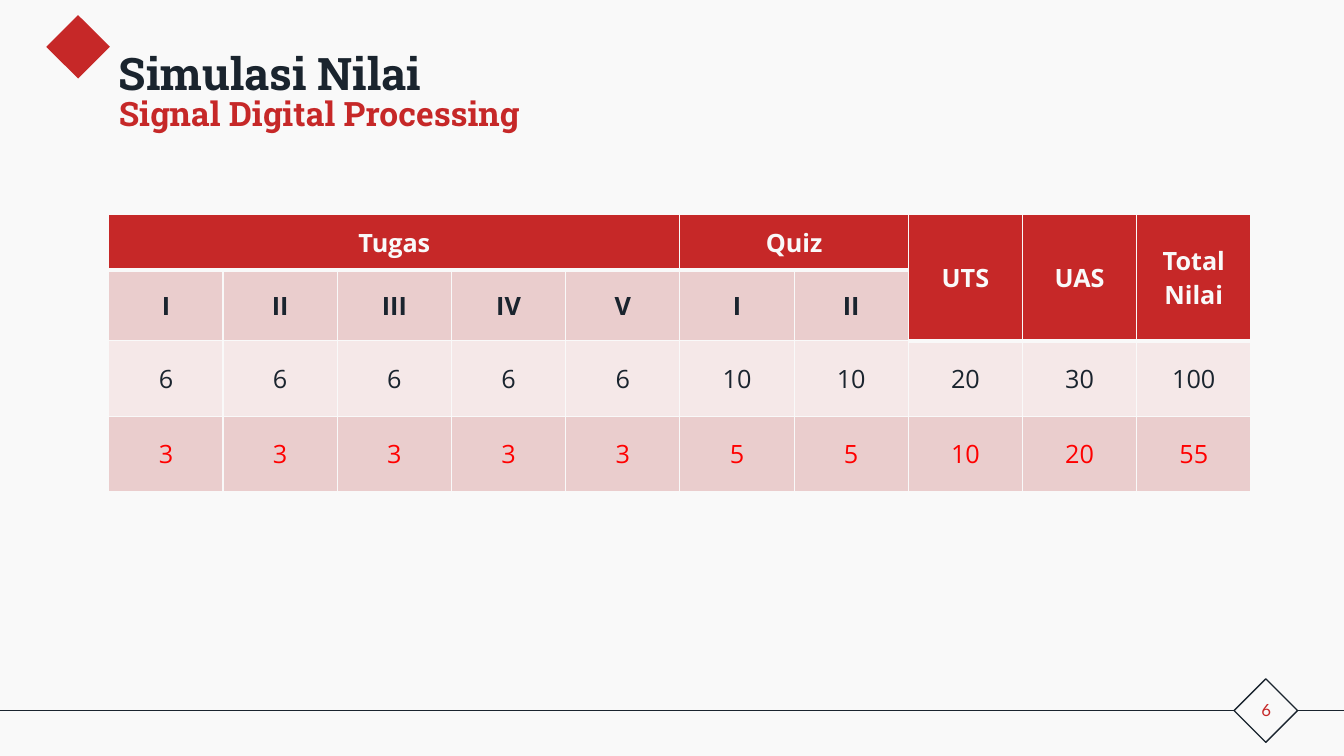
from collections import namedtuple

from lxml import etree
from pptx import Presentation
from pptx import util as u
from pptx.dml.color import RGBColor
from pptx.enum import shapes, text
from pptx.oxml.ns import qn

COLORS = {
    "paper": "F9F9F9", "ink": "1A242E", "red": "C62828",
    "rose": "EACDCD", "blush": "F5E8E8", "score": "FF0000",
}
Box = namedtuple("Box", "left top width height")
WIDTH, HEIGHT = 13.33, 7.5
MARK = 0.63  # side of both diamonds
MARGIN = 1.08  # left edge of the content


def color(name):
    """Return the named colour."""
    return RGBColor.from_string(COLORS[name])


def emu(*lengths):
    """Turn inches into slide units."""
    return [u.Inches(length) for length in lengths]


def style(para, size, font, tint, bold=False, align=None):
    """Set the font and alignment of a paragraph."""
    para.font.size, para.font.name, para.font.bold = u.Pt(size), font, bold
    para.font.color.rgb = color(tint)
    para.alignment = align


def add_text(page, box, words, **look):
    """Add a one-paragraph text box and return its frame."""
    frame = page.shapes.add_textbox(*emu(*box)).text_frame
    frame.word_wrap = True
    frame.text = words
    style(frame.paragraphs[0], **look)
    return frame


def add_diamond(page, box, fill=None, line=None):
    """Add a diamond, either filled or outlined."""
    shape = page.shapes.add_shape(shapes.MSO_SHAPE.DIAMOND, *emu(*box))
    shape.shadow.inherit = False
    if fill:
        shape.fill.solid()
        shape.fill.fore_color.rgb = color(fill)
    else:
        shape.fill.background()
    if line:
        shape.line.color.rgb = color(line)
        shape.line.width = u.Pt(1)
    else:
        shape.line.fill.background()


def add_rule(page, start, end, level):
    """Add a horizontal line."""
    rule = page.shapes.add_connector(
        shapes.MSO_CONNECTOR.STRAIGHT, *emu(start, level, end, level))
    rule.line.color.rgb = color("ink")
    rule.line.width = u.Pt(1)
    etree.SubElement(rule._element.spPr, qn("a:effectLst"))


def add_footer(page, box, number):
    """Draw the footer rule, broken by a diamond with the page number."""
    middle = box.top + box.height / 2
    mark = Box(box.left + box.width - 1.09, box.top, MARK, box.height)
    label = Box(mark.left - 0.16, middle - 0.21, 0.96, 0.41)
    frame = add_text(page, label, number, size=12, font="Lato", tint="red",
                     align=text.PP_ALIGN.CENTER)
    frame.vertical_anchor = text.MSO_ANCHOR.MIDDLE
    add_diamond(page, mark, line="ink")
    add_rule(page, box.left, mark.left, middle)
    add_rule(page, mark.left + MARK, box.left + box.width, middle)


def add_heading(page, box, title, subtitle):
    """Place the corner diamond, the title and the subtitle."""
    add_diamond(page, Box(box.left - 0.62, box.top - 0.31, MARK, MARK), fill="red")
    lines = [(title, 0, 1, 32, "ink"), (subtitle, 0.46, 0.53, 24, "red")]
    for words, offset, height, size, tint in lines:
        place = Box(box.left, box.top + offset, box.width, height)
        frame = add_text(page, place, words, size=size, font="Roboto Slab",
                         tint=tint, bold=True)
        para = frame.paragraphs[0]
        para.line_spacing, para.space_before = 0.9, u.Pt(10)


def add_borders(cell, bottom):
    """Give a cell thin borders and a bottom border of the given points."""
    props = cell._tc.get_or_add_tcPr()
    for index, (side, points) in enumerate(
            [("lnL", 1), ("lnR", 1), ("lnT", 1), ("lnB", bottom)]):
        line = etree.Element(qn("a:" + side), w=str(u.Pt(points)))
        fill = etree.SubElement(line, qn("a:solidFill"))
        etree.SubElement(fill, qn("a:srgbClr"), val=COLORS["paper"])
        props.insert(index, line)


def add_scores(page, box, heights, headers, rows):
    """Build the score table; headers are (words, column, rows, columns)."""
    count = len(rows[-1])
    table = page.shapes.add_table(len(heights), count, *emu(*box)).table
    for column in table.columns:
        column.width = u.Inches(box.width / count)
    for row, height in zip(table.rows, heights):
        row.height = u.Inches(height)

    grid = [[""] * count] + [row + [""] * (count - len(row)) for row in rows]
    for words, column, _, _ in headers:
        grid[0][column] = words
    looks = [("red", "paper", True), ("rose", "ink", True),
             ("blush", "ink", False), ("rose", "score", False)]
    header_cells = {(row, column + step) for _, column, depth, span in headers
                    for row in range(depth) for step in range(span)}
    for r, values in enumerate(grid):
        for c, words in enumerate(values):
            is_header = (r, c) in header_cells
            fill, tint, bold = looks[0 if is_header else r]
            cell = table.cell(r, c)
            cell.text = words
            cell.vertical_anchor = text.MSO_ANCHOR.MIDDLE
            cell.fill.solid()
            cell.fill.fore_color.rgb = color(fill)
            style(cell.text_frame.paragraphs[0], 18, "Open Sans", tint, bold,
                  text.PP_ALIGN.CENTER)
            add_borders(cell, 3 if is_header else 1)
    for _, column, depth, span in headers:
        table.cell(0, column).merge(table.cell(depth - 1, column + span - 1))


def build():
    """Build and save the deck."""
    deck = Presentation()
    deck.slide_width, deck.slide_height = emu(WIDTH, HEIGHT)
    page = deck.slides.add_slide(deck.slide_layouts[6])
    page.background.fill.solid()
    page.background.fill.fore_color.rgb = color("paper")

    add_footer(page, Box(0, HEIGHT * 0.94 - MARK / 2, WIDTH, MARK), "6")
    add_heading(page, Box(MARGIN, 0.46, WIDTH - MARGIN, 1),
                "Simulasi Nilai", "Signal Digital Processing")
    add_scores(
        page, Box(MARGIN, 2.13, WIDTH * 0.85, 2.62), [0.55, 0.57, 0.75, 0.75],
        [("Tugas", 0, 1, 5), ("Quiz", 5, 1, 2), ("UTS", 7, 2, 1),
         ("UAS", 8, 2, 1), ("Total Nilai", 9, 2, 1)],
        [["I", "II", "III", "IV", "V", "I", "II"],
         ["6"] * 5 + ["10", "10", "20", "30", "100"],
         ["3"] * 5 + ["5", "5", "10", "20", "55"]])
    deck.save("out.pptx")


build()
